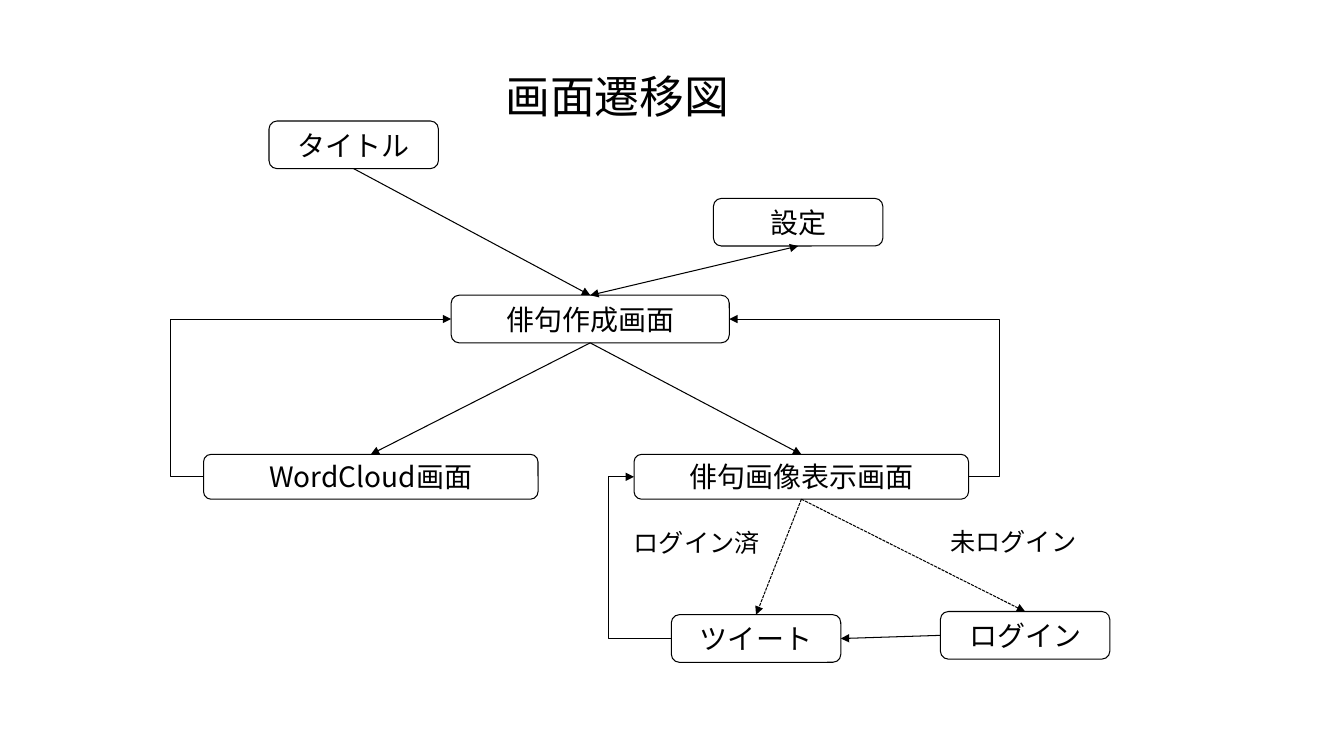
from lxml.etree import SubElement
from pptx import Presentation
from pptx.dml.color import RGBColor
from pptx.enum.dml import MSO_LINE
from pptx.enum.shapes import MSO_CONNECTOR as Route, MSO_SHAPE as Preset
from pptx.enum.text import MSO_ANCHOR as Anchor, MSO_AUTO_SIZE as AutoSize, PP_ALIGN as Align
from pptx.oxml.ns import qn
from pptx.util import Cm, Pt

FONT = "Noto Sans CJK JP"
INK = "000000"
TOP, LEFT, BOTTOM, RIGHT = range(4)
SMALL, MEDIUM, WIDE = (4.27, 1.2), (7.01, 1.2), (8.43, 1.13)


def colour(value):
    """Turn a hex string into a colour."""
    return RGBColor.from_string(value)


def write(frame, text, size, align, anchor):
    """Fill a text frame with one formatted paragraph."""
    frame.text = text
    frame.vertical_anchor = anchor
    para = frame.paragraphs[0]
    para.alignment = align
    for span in para.runs:
        span.font.size = Pt(size)
        span.font.name = FONT
        span.font.color.rgb = colour(INK)
        SubElement(span.font._element, qn("a:ea"), typeface=FONT)
    return para


def draw_line(line):
    """Give an outline or a connector the thin ink stroke."""
    line.color.rgb = colour(INK)
    line.width = Pt(0.75)


def add_screen(page, text, left, top, size):
    """Add a rounded box that stands for one screen."""
    box = page.shapes.add_shape(
        Preset.ROUNDED_RECTANGLE, Cm(left), Cm(top), *map(Cm, size))
    box.shadow.inherit = False
    box.fill.background()
    draw_line(box.line)
    write(box.text_frame, text, 20, Align.CENTER, Anchor.MIDDLE)
    box.text_frame.word_wrap = False
    return box


def add_label(page, text, left, top):
    """Add a condition beside an arrow."""
    box = page.shapes.add_textbox(Cm(left), Cm(top), Cm(4.39), Cm(1.02))
    box.text_frame.word_wrap = True
    box.text_frame.auto_size = AutoSize.SHAPE_TO_FIT_TEXT
    write(box.text_frame, text, 18, Align.LEFT, Anchor.TOP)


def add_heading(page, text):
    """Add the heading of the page."""
    box = page.shapes.add_textbox(Cm(9.86), Cm(-0.46), Cm(11.4), Cm(3.68))
    box.text_frame.word_wrap = True
    para = write(box.text_frame, text, 32, Align.CENTER, Anchor.BOTTOM)
    para.line_spacing = 0.9


def add_arrow(page, start, start_side, end, end_side,
              lane=None, dashed=False, both_ways=False):
    """Join two screens, bending at the lane's x when one is given."""
    route = Route.STRAIGHT if lane is None else Route.ELBOW
    arrow = page.shapes.add_connector(route, 0, 0, 0, 0)
    arrow.begin_connect(start, start_side)
    arrow.end_connect(end, end_side)
    draw_line(arrow.line)
    if dashed:
        arrow.line.dash_style = MSO_LINE.SQUARE_DOT
    properties = arrow._element.spPr
    stroke = properties.find(qn("a:ln"))
    if both_ways:
        SubElement(stroke, qn("a:headEnd"), type="triangle")
    SubElement(stroke, qn("a:tailEnd"), type="triangle")
    if lane is not None:
        bend = (Cm(lane) - arrow.begin_x) / (arrow.end_x - arrow.begin_x)
        guides = properties.find(qn("a:prstGeom")).find(qn("a:avLst"))
        SubElement(guides, qn("a:gd"), name="adj1", fmla=f"val {round(bend * 100000)}")
    SubElement(properties, qn("a:effectLst"))


def main():
    """Build the screen transition diagram."""
    deck = Presentation()
    deck.slide_width, deck.slide_height = Cm(33.87), Cm(19.05)
    page = deck.slides.add_slide(deck.slide_layouts[6])

    add_heading(page, "画面遷移図")
    title = add_screen(page, "タイトル", 6.78, 3.05, SMALL)
    settings = add_screen(page, "設定", 17.98, 5, SMALL)
    compose = add_screen(page, "俳句作成画面", 11.37, 7.44, MEDIUM)
    cloud = add_screen(page, "WordCloud画面", 5.13, 11.45, WIDE)
    picture = add_screen(page, "俳句画像表示画面", 15.98, 11.45, WIDE)
    tweet = add_screen(page, "ツイート", 16.92, 15.49, SMALL)
    login = add_screen(page, "ログイン", 23.7, 15.41, SMALL)

    add_arrow(page, title, BOTTOM, compose, TOP)
    add_arrow(page, compose, TOP, settings, BOTTOM, both_ways=True)
    add_arrow(page, compose, BOTTOM, cloud, TOP)
    add_arrow(page, compose, BOTTOM, picture, TOP)
    add_arrow(page, cloud, LEFT, compose, LEFT, lane=4.29)
    add_arrow(page, picture, RIGHT, compose, RIGHT, lane=25.2)
    add_arrow(page, picture, BOTTOM, tweet, TOP, dashed=True)
    add_arrow(page, picture, BOTTOM, login, TOP, dashed=True)
    add_arrow(page, login, LEFT, tweet, RIGHT)
    add_arrow(page, tweet, LEFT, picture, LEFT, lane=15.34)

    add_label(page, "ログイン済", 15.72, 13.16)
    add_label(page, "未ログイン", 23.7, 13.13)
    deck.save("out.pptx")


if __name__ == "__main__":
    main()
